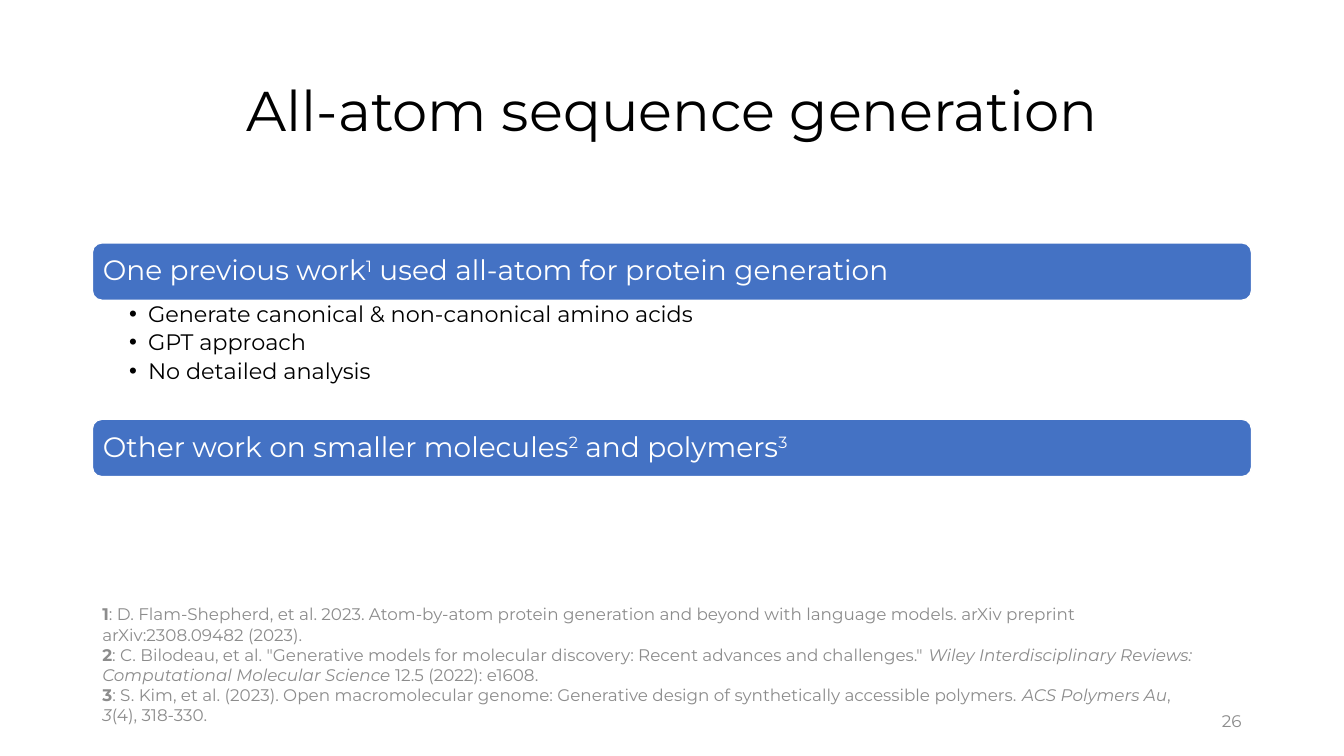
from lxml.etree import SubElement
from pptx import Presentation
from pptx.dml.color import RGBColor
from pptx.enum.shapes import MSO_SHAPE as Shape
from pptx.enum.text import MSO_ANCHOR as Anchor, PP_ALIGN as Align
from pptx.oxml.ns import qn
from pptx.util import Pt

COLORS = {"text": "000000", "bar": "4472C4", "light": "FFFFFF", "muted": "8C8C8C"}
LEFT, WIDTH = 66, 828
BAR_HEIGHT = 41

HEADINGS = [
    (173.5, [("One previous work", ""), ("1", "sup"),
             (" used all-atom for protein generation", "")]),
    (299.5, [("Other work on smaller molecules", ""), ("2", "sup"),
             (" and polymers", ""), ("3", "sup")]),
]
POINTS = ["Generate canonical & non-canonical amino acids", "GPT approach",
          "No detailed analysis"]
REFERENCES = [
    [("1", "bold"),
     (": D. Flam-Shepherd, et al. 2023. Atom-by-atom protein generation and beyond "
      "with language models. arXiv preprint arXiv:2308.09482 (2023).", "")],
    [("2", "bold"),
     (': C. Bilodeau, et al. "Generative models for molecular discovery: '
      'Recent advances and challenges." ', ""),
     ("Wiley Interdisciplinary Reviews: Computational Molecular Science", "italic"),
     (" 12.5 (2022): e1608.", "")],
    [("3", "bold"),
     (": S. Kim, et al. (2023). Open macromolecular genome: Generative design of "
      "synthetically accessible polymers. ", ""),
     ("ACS Polymers Au", "italic"), (", ", ""), ("3", "italic"), ("(4), 318-330.", "")],
]


class SlideBuilder:
    font = "Montserrat"

    def __init__(self, prs):
        self.s = prs.slides.add_slide(prs.slide_layouts[5])

    def fill_text(self, sp, paragraphs, size, color, align=Align.LEFT, spacing=1.0,
                  anchor=Anchor.MIDDLE, insets=(7.2, 3.6, 7.2, 3.6), bullets=False):
        """Fill a shape with paragraphs, each a list of (text, style) runs."""
        tf = sp.text_frame
        tf.word_wrap = True
        tf.vertical_anchor = anchor
        (tf.margin_left, tf.margin_top,
         tf.margin_right, tf.margin_bottom) = map(Pt, insets)
        for i, runs in enumerate(paragraphs):
            p = tf.add_paragraph() if i else tf.paragraphs[0]
            p.alignment = align
            p.line_spacing = spacing
            if bullets:
                p.space_after = Pt(3)
                self.bullet(p)
            for text, style in runs:
                r = p.add_run()
                r.text = text
                r.font.name = self.font
                r.font.size = Pt(size)
                r.font.color.rgb = RGBColor.from_string(COLORS[color])
                r.font.bold = style == "bold"
                r.font.italic = style == "italic"
                if style == "sup":
                    r.font._element.set("baseline", "30000")

    def bullet(self, p):
        pPr = p._p.get_or_add_pPr()
        pPr.set("marL", str(Pt(13.5)))
        pPr.set("indent", str(Pt(-13.5)))
        SubElement(pPr, qn("a:buFont")).set("typeface", "Arial")
        SubElement(pPr, qn("a:buChar")).set("char", "•")

    def title(self, text):
        sp = self.s.shapes.title
        sp.left, sp.top, sp.width, sp.height = map(Pt, (LEFT, 28.75, WIDTH, 104.4))
        self.fill_text(sp, [[(text, "")]], 40, "text", align=Align.CENTER, spacing=0.9)

    def bar(self, top, runs):
        sp = self.s.shapes.add_shape(Shape.ROUNDED_RECTANGLE, Pt(LEFT), Pt(top),
                                     Pt(WIDTH), Pt(BAR_HEIGHT))
        sp.shadow.inherit = False
        sp.fill.solid()
        sp.fill.fore_color.rgb = RGBColor.from_string(COLORS["bar"])
        sp.line.color.rgb = RGBColor.from_string(COLORS["light"])
        sp.line.width = Pt(1)
        self.fill_text(sp, [runs], 20, "light", spacing=0.9, insets=(5.5, 3.6, 5.5, 3.6))

    def text(self, box, paragraphs, size, color, **style):
        sp = self.s.shapes.add_textbox(*map(Pt, box))
        self.fill_text(sp, paragraphs, size, color, **style)


def main():
    prs = Presentation()
    prs.slide_width, prs.slide_height = Pt(960), Pt(540)
    slide = SlideBuilder(prs)
    slide.title("All-atom sequence generation")
    for top, runs in HEADINGS:
        slide.bar(top, runs)
    slide.text((LEFT, 215, WIDTH, 85), [[(point, "")] for point in POINTS], 16, "text",
               spacing=0.9, anchor=Anchor.TOP, insets=(26.3, 1.6, 9, 1.6), bullets=True)
    slide.text((678, 500.5, 216, 28.75), [[("26", "")]], 12, "muted", align=Align.RIGHT)
    slide.text((LEFT, 420, 796, 109.5), REFERENCES, 12, "muted")
    prs.save("out.pptx")


if __name__ == "__main__":
    main()
